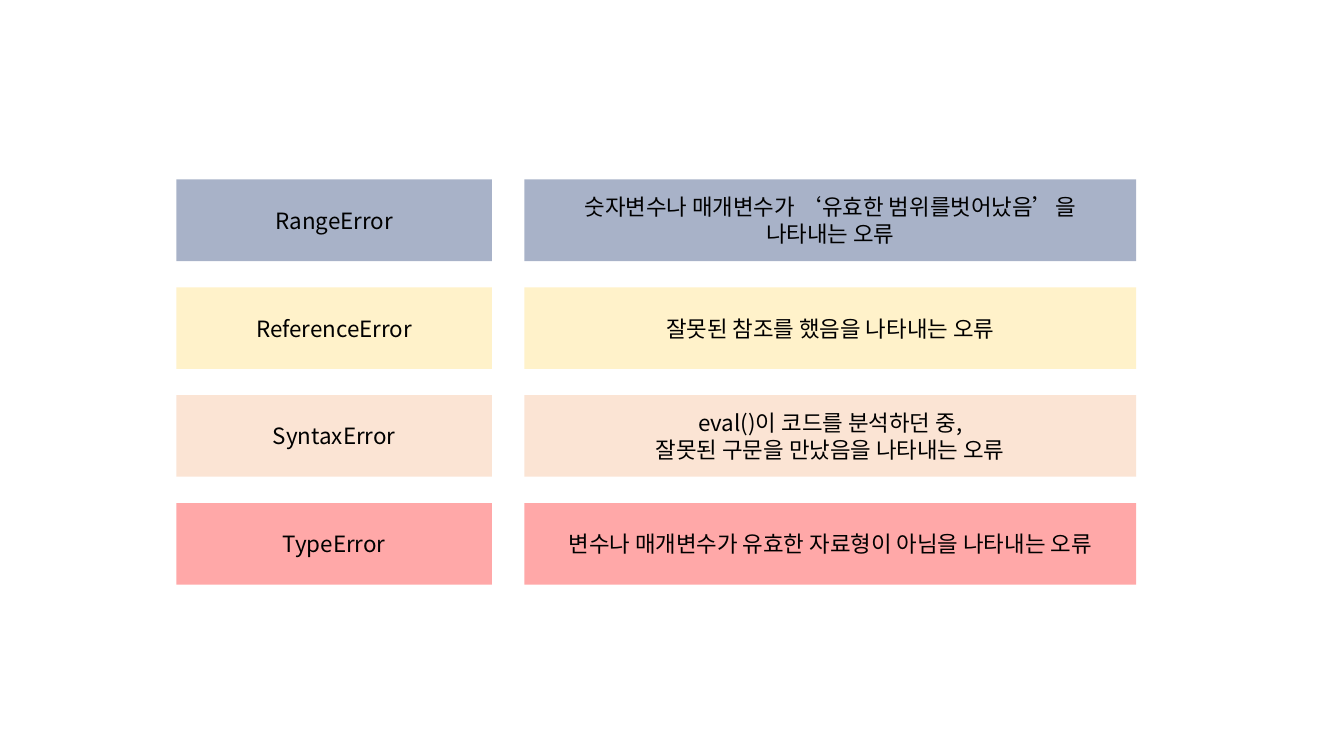
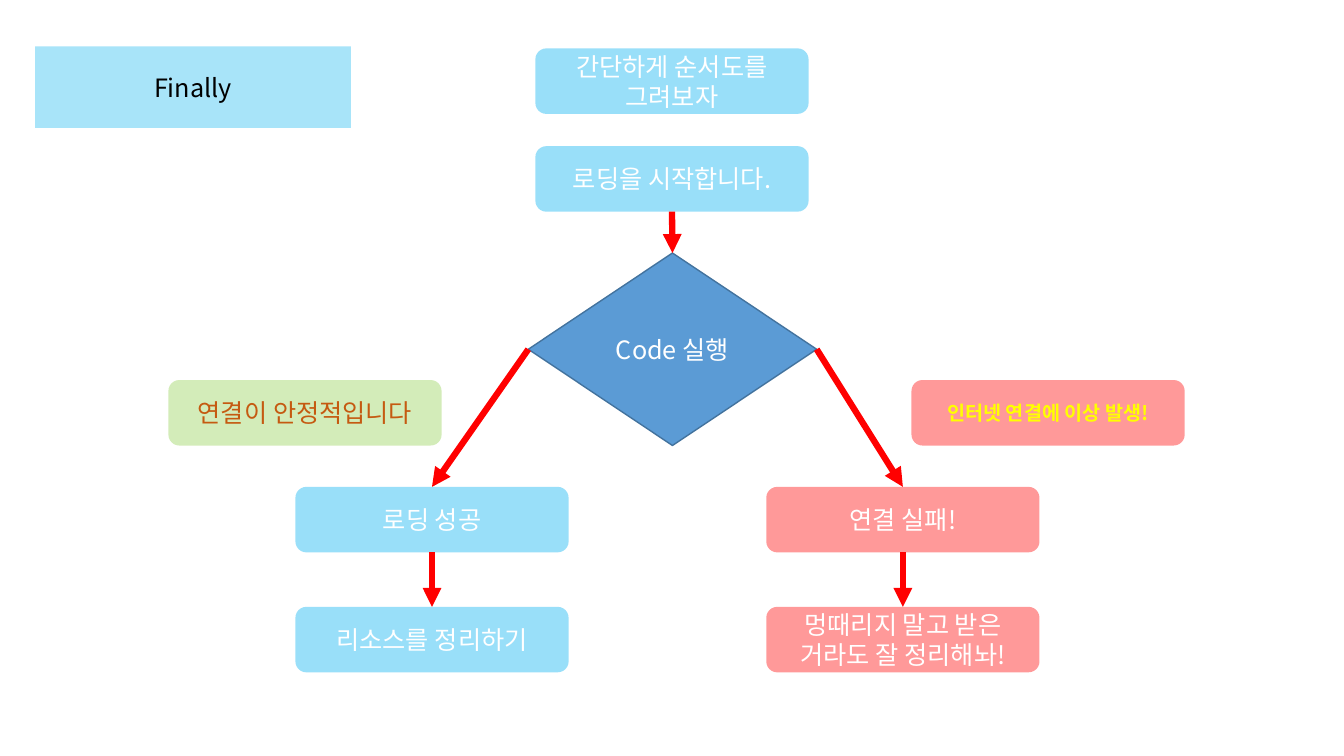
from lxml import etree
from pptx import Presentation
from pptx.dml.color import RGBColor
from pptx.enum.shapes import MSO_CONNECTOR as CONN, MSO_SHAPE as SHAPE
from pptx.enum.text import MSO_ANCHOR as ANCHOR, PP_ALIGN as ALIGN
from pptx.oxml.ns import qn
from pptx.util import Inches, Pt

FONT = "Noto Sans CJK KR"
NAVY, GOLD, ORANGE, RED = "002060", "FFD966", "F4B183", "FF0000"
SKY, GREEN, BLUE, BLUE_EDGE = "00B0F0", "92D050", "5B9BD5", "43739E"
BLACK, WHITE, YELLOW, RUST = "000000", "FFFFFF", "FFFF00", "C55A11"
CARD = {"kind": SHAPE.RECTANGLE, "alpha": 34, "color": BLACK}
STEP = {"kind": SHAPE.ROUNDED_RECTANGLE, "alpha": 40, "color": WHITE}
CARD_W, CARD_H = 3.13, 0.81
STEP_W, STEP_H = 2.71, 0.65


def rgb(value):
    return RGBColor.from_string(value)


def add_box(s, x, y, w, h, text, fill, kind, color, alpha=100, size=18, bold=False):
    sp = s.shapes.add_shape(kind, Inches(x), Inches(y), Inches(w), Inches(h))
    sp.shadow.inherit = False
    sp.fill.solid()
    sp.fill.fore_color.rgb = rgb(fill)
    sp.line.fill.background()
    if alpha < 100:
        clr = sp._element.spPr.find(qn("a:solidFill")).find(qn("a:srgbClr"))
        etree.SubElement(clr, qn("a:alpha"), val=str(alpha * 1000))
    tf = sp.text_frame
    tf.word_wrap = True
    tf.vertical_anchor = ANCHOR.MIDDLE
    for i, line in enumerate(text.split("\n")):
        p = tf.paragraphs[0] if i == 0 else tf.add_paragraph()
        p.alignment = ALIGN.CENTER
        r = p.add_run()
        r.text = line
        for name, value in {"name": FONT, "size": Pt(size), "bold": bold}.items():
            setattr(r.font, name, value)
        r.font.color.rgb = rgb(color)
        etree.SubElement(r._r.get_or_add_rPr(), qn("a:ea"), typeface=FONT)
    return sp


prs = Presentation()
prs.slide_width, prs.slide_height = Inches(13.33), Inches(7.5)
blank = prs.slide_layouts[6]

# Slide 1: error types and their meanings
s = prs.slides.add_slide(blank)
errors = [
    ("RangeError", "숫자변수나 매개변수가 ‘유효한 범위를벗어났음’을\n나타내는 오류", NAVY),
    ("ReferenceError", "잘못된 참조를 했음을 나타내는 오류", GOLD),
    ("SyntaxError", "eval()이 코드를 분석하던 중,\n잘못된 구문을 만났음을 나타내는 오류", ORANGE),
    ("TypeError", "변수나 매개변수가 유효한 자료형이 아님을 나타내는 오류", RED),
]
for row, (error, meaning, fill) in enumerate(errors):
    y = 1.78 + row * 1.07
    add_box(s, 1.75, y, CARD_W, CARD_H, error, fill, size=16, **CARD)
    add_box(s, 5.2, y, 6.07, CARD_H, meaning, fill, size=16, **CARD)

# Slide 2: title card and decision
s = prs.slides.add_slide(blank)
add_box(s, 0.35, 0.46, CARD_W, CARD_H, "Finally", SKY, **CARD)
decision = add_box(s, 5.24, 2.51, 2.86, 1.91, "Code 실행", BLUE,
                   SHAPE.FLOWCHART_DECISION, WHITE)
decision.line.color.rgb = rgb(BLUE_EDGE)
decision.line.width = Pt(1)

# Flowchart steps and branch labels
steps = [
    (5.31, 0.48, "간단하게 순서도를\n그려보자", SKY, {}),
    (5.31, 1.45, "로딩을 시작합니다.", SKY, {}),
    (2.93, 4.83, "로딩 성공", SKY, {}),
    (2.93, 6.02, "리소스를 정리하기", SKY, {}),
    (7.6, 4.83, "연결 실패!", RED, {}),
    (7.6, 6.02, "멍때리지 말고 받은 거라도 잘 정리해놔!", RED, {}),
    (1.67, 3.77, "연결이 안정적입니다", GREEN, {"color": RUST}),
    (9.04, 3.77, "인터넷 연결에 이상 발생!", RED,
     {"color": YELLOW, "size": 14, "bold": True}),
]
boxes = [add_box(s, x, y, STEP_W, STEP_H, text, fill, **{**STEP, **style})
         for x, y, text, fill, style in steps]
intro, start, success, clean_up, failure, salvage, stable, broken = boxes

# Arrows between connection sites
TOP, LEFT, BOTTOM, RIGHT = range(4)
arrows = [
    (start, BOTTOM, decision),
    (decision, LEFT, success),
    (decision, RIGHT, failure),
    (success, BOTTOM, clean_up),
    (failure, BOTTOM, salvage),
]
for source, site, target in arrows:
    arrow = s.shapes.add_connector(CONN.STRAIGHT, 0, 0, 0, 0)
    arrow.begin_connect(source, site)
    arrow.end_connect(target, TOP)
    arrow.line.color.rgb = rgb(RED)
    arrow.line.width = Pt(4.5)
    etree.SubElement(arrow.line._get_or_add_ln(), qn("a:tailEnd"), type="triangle")
    etree.SubElement(arrow._element.spPr, qn("a:effectLst"))

prs.save("out.pptx")
